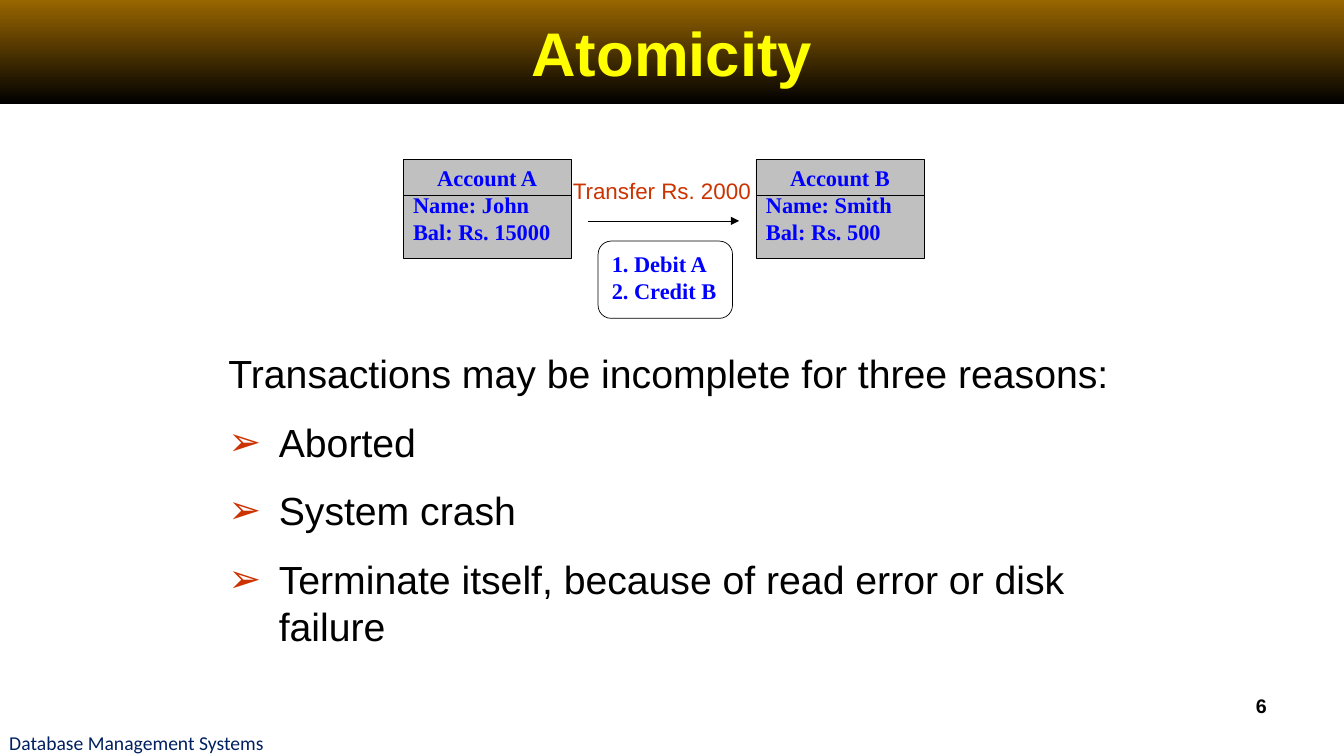
import dataclasses

import lxml.etree
import pptx
import pptx.dml.color
import pptx.enum.shapes
import pptx.enum.text
import pptx.oxml.ns
import pptx.util

ALIGN = pptx.enum.text.PP_ALIGN
ANCHOR = pptx.enum.text.MSO_ANCHOR
SHAPE = pptx.enum.shapes.MSO_SHAPE


@dataclasses.dataclass(frozen=True)
class Theme:
    """Colours, line width and text styles of the slide."""
    band_top: str = "996600"
    band_bottom: str = "000000"
    card: str = "C0C0C0"
    line: str = "000000"
    accent: str = "CC3300"
    line_width: float = 0.5
    title: tuple = ("Arial", 44, True, "FFFF00")
    body: tuple = ("Arial", 28, False, "000000")
    record: tuple = ("Times New Roman", 16, True, "0000FF")
    label: tuple = ("Arial", 16, False, "CC3300")
    number: tuple = ("Arial", 14, True, "000000")
    footer: tuple = ("Calibri", 14, False, "002060")


THEME = Theme()
COLS, ROWS = 160, 90


def grid(n):
    """Return the length of n grid units of a twelfth of an inch."""
    return pptx.util.Inches(n / 12)


def rgb(value):
    """Return a colour from its hex value."""
    return pptx.dml.color.RGBColor.from_string(value)


def sub(parent, tag, **attrs):
    """Append a DrawingML element to the parent."""
    return lxml.etree.SubElement(parent, pptx.oxml.ns.qn(tag), attrs)


def place(sp, x, y, w, h):
    """Put a shape in a box of grid units."""
    box = {"left": x, "top": y, "width": w, "height": h}
    for name, value in box.items():
        setattr(sp, name, grid(value))


def write(sp, lines, style, align=ALIGN.LEFT, **frame):
    """Fill a shape with styled lines and return its paragraphs."""
    tf = sp.text_frame
    tf.text = "\n".join(lines)
    settings = {"word_wrap": True, "vertical_anchor": ANCHOR.TOP,
                "auto_size": pptx.enum.text.MSO_AUTO_SIZE.NONE, **frame}
    for name, value in settings.items():
        setattr(tf, name, value)
    face, size, bold, color = style
    font = {"name": face, "size": pptx.util.Pt(size), "bold": bold}
    for p in tf.paragraphs:
        p.alignment = align
        for r in p.runs:
            for name, value in font.items():
                setattr(r.font, name, value)
            r.font.color.rgb = rgb(color)
    return tf.paragraphs


def add_text(s, box, text, style, **options):
    """Add a one-line text box."""
    sp = s.shapes.add_textbox(*map(grid, box))
    write(sp, [text], style, **options)


def add_box(s, kind, box, fill=None):
    """Add an outlined shape, filled if a colour is given."""
    sp = s.shapes.add_shape(kind, *map(grid, box))
    sp.shadow.inherit = False
    sp.line.color.rgb = rgb(THEME.line)
    sp.line.width = pptx.util.Pt(THEME.line_width)
    if fill:
        sp.fill.solid()
        sp.fill.fore_color.rgb = rgb(fill)
    else:
        sp.fill.background()
    return sp


def add_line(s, x, y, length, arrow=False):
    """Add a horizontal line, with an arrowhead if asked."""
    kind = pptx.enum.shapes.MSO_CONNECTOR.STRAIGHT
    line = s.shapes.add_connector(kind, *map(grid, (x, y, x + length, y)))
    line.line.color.rgb = rgb(THEME.line)
    line.line.width = pptx.util.Pt(THEME.line_width)
    if arrow:
        sub(line.line.color and line.element.spPr.ln, "a:tailEnd", type="triangle")
    sub(line.element.spPr, "a:effectLst")


def shade(sp):
    """Give a shape the vertical band gradient."""
    sp.fill.gradient()
    sp.fill.gradient_angle = 270
    for stop, color in zip(sp.fill.gradient_stops, (THEME.band_top, THEME.band_bottom)):
        stop.color.rgb = rgb(color)


def add_header(s, x, y, w, h, text):
    """Draw the full-width band and the title centred on it."""
    band = add_box(s, SHAPE.RECTANGLE, (x, y, w, h))
    band.line.fill.background()
    title = s.shapes.title
    title.element.addprevious(band.element)
    place(title, x + w / 8, y, w * 3 / 4, h)
    write(title, [text], THEME.title, ALIGN.CENTER, vertical_anchor=ANCHOR.MIDDLE)
    for sp in (band, title):
        shade(sp)


def add_account(s, x, y, w, h, lines):
    """Draw an account record with a ruled heading."""
    card = add_box(s, SHAPE.RECTANGLE, (x, y, w, h), THEME.card)
    write(card, lines, THEME.record)[0].alignment = ALIGN.CENTER
    add_line(s, x, y + 4.3, w)


def add_transfer(s, x, y, w, accounts, label, steps):
    """Draw two accounts with the transfer between them."""
    card_w, gap = 20, 2
    for left, lines in zip((x, x + w - card_w), accounts):
        add_account(s, left, y, card_w, 11.7, lines)
    middle = w - 2 * card_w
    add_line(s, x + card_w + gap, y + 7.3, middle - 2 * gap, arrow=True)
    sp = add_box(s, SHAPE.ROUNDED_RECTANGLE, (x + 23.2, y + 9.7, 16, 9.2))
    sp.adjustments[0] = 0.17
    write(sp, steps, THEME.record)
    add_text(s, (x + 21.1, y + 1, 19.4, 5.3), label, THEME.label,
             align=ALIGN.CENTER, word_wrap=False, vertical_anchor=ANCHOR.MIDDLE)


def add_reasons(s, x, y, w, h, intro, reasons):
    """Fill the body with an introduction and arrow bullets."""
    body = s.placeholders[1]
    place(body, x, y, w, h)
    for i, p in enumerate(write(body, [intro, *reasons], THEME.body)):
        p.space_before = pptx.util.Pt(15.4 if i else 0)
        pPr = p._p.get_or_add_pPr()
        pPr.set("marL", str(grid(6)))
        pPr.set("indent", str(-grid(6)))
        if i:
            sub(sub(pPr, "a:buClr"), "a:srgbClr", val=THEME.accent)
            sub(pPr, "a:buFont", typeface="Arial")
            sub(pPr, "a:buChar", char="➢")
        else:
            sub(pPr, "a:buNone")


def add_footer(s, course, number):
    """Write the course name and the slide number."""
    margins = dict.fromkeys(
        ("margin_left", "margin_top", "margin_right", "margin_bottom"), 0)
    add_text(s, (1.1, ROWS - 3.2, 59.5, 3.2), course, THEME.footer,
             vertical_anchor=ANCHOR.MIDDLE, **margins)
    add_text(s, (COLS - 45.3, ROWS - 8, 37.3, 6.2), number, THEME.number,
             align=ALIGN.RIGHT)


def main():
    """Build and save the slide."""
    prs = pptx.Presentation()
    prs.slide_width, prs.slide_height = grid(COLS), grid(ROWS)
    s = prs.slides.add_slide(prs.slide_layouts[1])
    add_header(s, 0, 0, COLS, 12.4, "Atomicity")
    add_transfer(s, 48, 19, 62,
                 [["Account A", "Name: John", "Bal: Rs. 15000"],
                  ["Account B", "Name: Smith", "Bal: Rs. 500"]],
                 "Transfer Rs. 2000", ["1. Debit A", "2. Credit B"])
    add_reasons(s, 26, 41, 108, 37.7,
                "Transactions may be incomplete for three reasons:",
                ["Aborted", "System crash",
                 "Terminate itself, because of read error or disk failure"])
    add_footer(s, "Database Management Systems", "6")
    prs.save("out.pptx")


if __name__ == "__main__":
    main()
